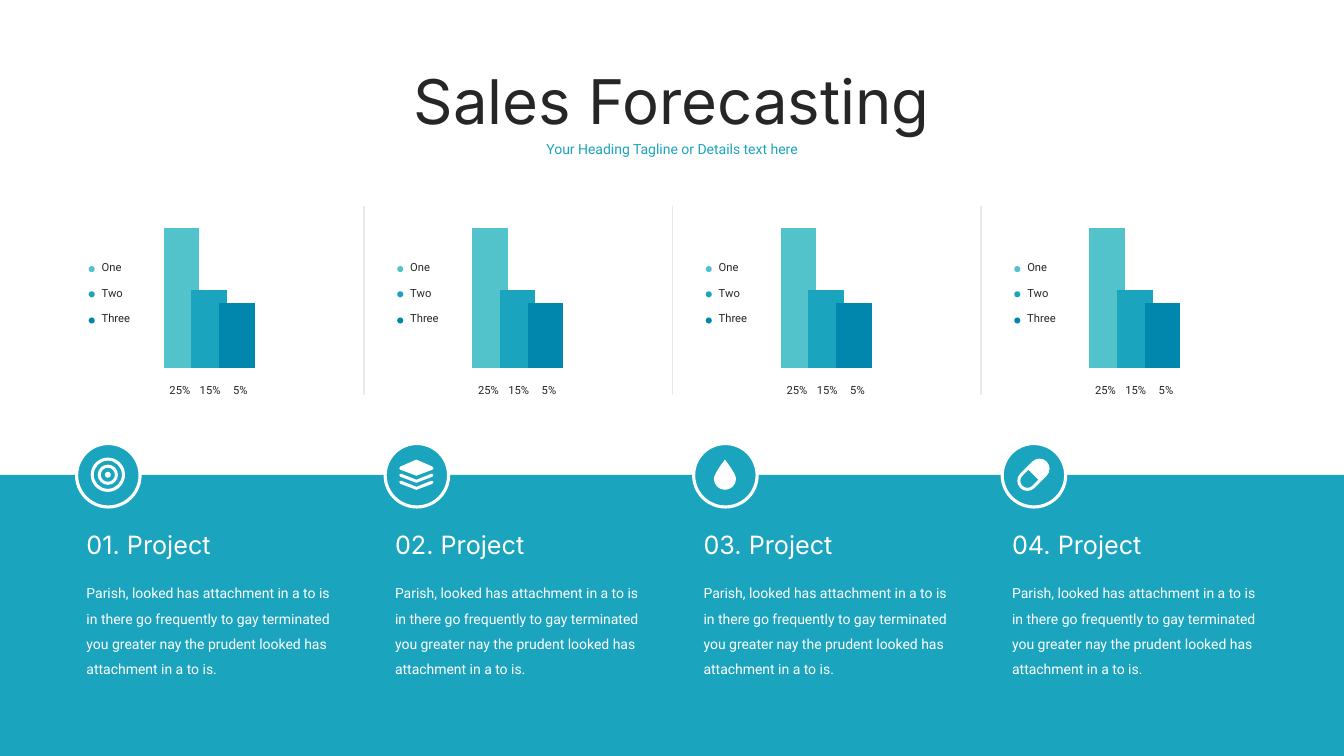
"""Build the Sales Forecasting slide with four project columns."""
from dataclasses import dataclass
from math import cos, radians, sin

from lxml.etree import SubElement
from pptx import Presentation
from pptx.chart.data import CategoryChartData
from pptx.dml.color import RGBColor
from pptx.enum.chart import XL_CHART_TYPE
from pptx.enum.shapes import MSO_CONNECTOR, MSO_SHAPE
from pptx.enum.text import MSO_ANCHOR, MSO_AUTO_SIZE, PP_ALIGN
from pptx.oxml import parse_xml
from pptx.oxml.ns import nsdecls, qn
from pptx.slide import Slide
from pptx.util import Inches, Pt

WHITE = RGBColor(0xFF, 0xFF, 0xFF)
DARK = RGBColor(0x26, 0x26, 0x26)
BLACK = RGBColor(0, 0, 0)
GREY = RGBColor(0xE9, 0xE9, 0xEA)
AQUA = RGBColor(0x52, 0xC3, 0xCB)
TEAL = RGBColor(0x1B, 0xA4, 0xBE)
BLUE = RGBColor(0x01, 0x87, 0xAE)

Point = tuple[float, float]
Contour = list[Point]
COLUMN_LEFT, COLUMN_PITCH, COLUMN_WIDTH = 0.76, 3.06, 2.63
BODY = ("Parish, looked has attachment in a to is in there go frequently to gay "
        "terminated you greater nay the prudent looked has attachment in a to is.")


@dataclass(frozen=True)
class Box:
    """A rectangle in inches."""
    left: float
    top: float
    width: float
    height: float

    def lengths(self) -> list[Inches]:
        """Return the rectangle as slide lengths."""
        return [Inches(value) for value in (self.left, self.top, self.width, self.height)]


@dataclass(frozen=True)
class TextStyle:
    """The look of a text."""
    font: str
    size: float
    color: RGBColor
    alignment: PP_ALIGN = PP_ALIGN.LEFT
    line_spacing: float | None = None


@dataclass(frozen=True)
class Series:
    """A bar with its legend entry and percentage."""
    label: str
    percentage: str
    value: int
    color: RGBColor
    label_top: float
    dot_top: float
    label_width: float = 0.48


@dataclass(frozen=True)
class Project:
    """A project column with the contours of its icon around the badge centre."""
    heading: str
    icon: list[Contour]
    curved: bool = True


TITLE = TextStyle("Inter", 44, DARK, PP_ALIGN.CENTER)
TAGLINE = TextStyle("Roboto", 10, TEAL, PP_ALIGN.CENTER)
HEADING = TextStyle("Inter", 18, WHITE)
PARAGRAPH = TextStyle("Roboto", 10, WHITE, line_spacing=1.5)
LEGEND = TextStyle("Roboto", 8, DARK)
PERCENTAGE = TextStyle("Roboto", 8, DARK, PP_ALIGN.CENTER)
SERIES = [Series("One", "25%", 100, AQUA, 2.53, 2.64),
          Series("Two", "15%", 56, TEAL, 2.79, 2.89),
          Series("Three", "5%", 47, BLUE, 3.04, 3.15, 0.56)]


def arc(center: Point, radius: float, start: int, quarters: int) -> Contour:
    """Return Bézier points for quarter circles from a start angle in degrees."""
    points: Contour = []
    for quarter in range(quarters):
        angle = radians(start + 90 * quarter)
        across, along = (cos(angle), sin(angle)), (-sin(angle), cos(angle))
        steps = [(1, 0), (1, 0.55), (0.55, 1), (0, 1)]
        curve = [(center[0] + radius * (a * across[0] + b * along[0]),
                  center[1] + radius * (a * across[1] + b * along[1])) for a, b in steps]
        points += curve[1:] if points else curve
    return points


def target_icon() -> list[Contour]:
    """Return concentric rings around a dot."""
    return [arc((0, 0), radius, 0, 4) for radius in (0.17, 0.14, 0.1, 0.07, 0.03)]


def layers_icon() -> list[Contour]:
    """Return a stack of three sheets."""
    sheet = [(-0.17, -0.06), (-0.16, -0.08), (0, -0.15), (0.16, -0.08), (0.17, -0.06),
             (0.16, -0.05), (0, 0.01), (-0.16, -0.05)]
    edge = [(-0.17, 0), (-0.15, -0.01), (0, 0.05), (0.15, -0.01), (0.17, 0),
            (0.16, 0.02), (0, 0.08), (-0.16, 0.02)]
    return [sheet, edge, [(x, y + 0.07) for x, y in edge]]


def drop_icon() -> list[Contour]:
    """Return a water drop."""
    tip = (0, -0.15)
    return [arc((0, 0.04), 0.11, 0, 2) + [(-0.11, -0.01), tip, tip, tip, (0.11, -0.01), (0.11, 0.04)]]


def pill_icon() -> list[Contour]:
    """Return a slanted capsule with a hollow lower half."""
    lower, upper = arc((-0.06, 0.06), 0.1, 45, 2), arc((0.06, -0.06), 0.1, 225, 2)
    hollow = arc((-0.06, 0.06), 0.07, 45, 2)
    return [lower + [lower[-1], upper[0]] + upper,
            hollow + [(-0.05, -0.05)] * 3 + [(0.05, 0.05)] * 3]


PROJECTS = [Project("01. Project", target_icon()),
            Project("02. Project", layers_icon(), curved=False),
            Project("03. Project", drop_icon()), Project("04. Project", pill_icon())]


def write_text(shape, text: str, style: TextStyle) -> None:
    """Write one styled paragraph into a shape."""
    frame = shape.text_frame
    frame.word_wrap = True
    frame.auto_size = MSO_AUTO_SIZE.SHAPE_TO_FIT_TEXT
    frame.vertical_anchor = MSO_ANCHOR.TOP
    paragraph = frame.paragraphs[0]
    paragraph.alignment = style.alignment
    if style.line_spacing:
        paragraph.line_spacing = style.line_spacing
    run = paragraph.add_run()
    run.text = text
    run.font.name, run.font.size = style.font, Pt(style.size)
    run.font.color.rgb = style.color


def add_text(slide: Slide, box: Box, text: str, style: TextStyle) -> None:
    """Add a text box."""
    write_text(slide.shapes.add_textbox(*box.lengths()), text, style)


def paint(shape, color: RGBColor, outline: RGBColor | None = None) -> None:
    """Fill a shape and give it an optional outline."""
    shape.shadow.inherit = False
    shape.fill.solid()
    shape.fill.fore_color.rgb = color
    if outline is None:
        shape.line.fill.background()
    else:
        shape.line.color.rgb, shape.line.width = outline, Pt(2.25)


def add_icon(slide: Slide, center: Point, project: Project) -> None:
    """Add a white icon whose nested contours cut holes."""
    placed = [[(Inches(center[0] + x), Inches(center[1] + y)) for x, y in contour]
              for contour in project.icon]
    builder = slide.shapes.build_freeform(*placed[0][0])
    for index, contour in enumerate(placed):
        if index:
            builder.move_to(*contour[0])
        builder.add_line_segments(contour[1:], close=True)
    icon = builder.convert_to_shape()
    paint(icon, WHITE)
    if project.curved:
        lines = list(icon.element.iter(qn("a:lnTo")))
        for first, second, third in zip(lines[::3], lines[1::3], lines[2::3]):
            first.tag = qn("a:cubicBezTo")
            for line in (second, third):
                first.append(line[0])
                line.getparent().remove(line)


def add_bar_chart(slide: Slide, left: float) -> None:
    """Add the overlapping bars of a column."""
    data = CategoryChartData()
    data.categories = ["1"]
    for number, series in enumerate(SERIES, 1):
        data.add_series(f"Series {number}", [series.value])
    box = Box(left, 1.89, COLUMN_WIDTH, 1.92)
    chart = slide.shapes.add_chart(XL_CHART_TYPE.COLUMN_CLUSTERED, *box.lengths(), data).chart
    chart.has_legend = chart.has_title = False
    chart.font.name, chart.font.size, chart.font.color.rgb = "Calibri", Pt(10), BLACK
    chart.category_axis.visible = chart.value_axis.visible = False
    chart.value_axis.has_major_gridlines = False
    chart.value_axis.minimum_scale, chart.value_axis.maximum_scale = 0, 116
    plot = chart.plots[0]
    plot.gap_width, plot.overlap, plot.vary_by_categories = 490, 22, False
    for bar, series in zip(plot.series, SERIES):
        bar.format.fill.solid()
        bar.format.fill.fore_color.rgb = series.color
    layout = parse_xml(f"<c:layout {nsdecls('c')}><c:manualLayout/></c:layout>")
    settings = {"layoutTarget": "inner", "xMode": "edge", "yMode": "edge",
                "x": "0", "y": "0.08", "w": "1", "h": "0.84"}
    for name, value in settings.items():
        SubElement(layout[0], qn(f"c:{name}")).set("val", value)
    plot_area = chart.element.find(f".//{qn('c:plotArea')}")
    for previous in plot_area.findall(qn("c:layout")):
        plot_area.remove(previous)
    plot_area.insert(0, layout)


def add_divider(slide: Slide, x: float) -> None:
    """Add a vertical rule between two columns."""
    line = slide.shapes.add_connector(MSO_CONNECTOR.STRAIGHT, Inches(x), Inches(2.04),
                                      Inches(x), Inches(3.92))
    line.line.color.rgb, line.line.width = GREY, Pt(1)
    SubElement(line.element.spPr, qn("a:effectLst"))


def add_project(slide: Slide, left: float, project: Project) -> None:
    """Add one column: text, badge, chart and legend."""
    add_text(slide, Box(left, 5.2, COLUMN_WIDTH, 0.4), project.heading, HEADING)
    add_text(slide, Box(left, 5.67, COLUMN_WIDTH, 1.08), BODY, PARAGRAPH)
    badge = Box(left, 4.4, 0.63, 0.63)
    paint(slide.shapes.add_shape(MSO_SHAPE.OVAL, *badge.lengths()), TEAL, WHITE)
    add_bar_chart(slide, left)
    for index, series in enumerate(SERIES):
        dot = Box(left + 0.12, series.dot_top, 0.06, 0.06)
        paint(slide.shapes.add_shape(MSO_SHAPE.OVAL, *dot.lengths()), series.color)
        add_text(slide, Box(left + 0.15, series.label_top, series.label_width, 0.24),
                 series.label, LEGEND)
        add_text(slide, Box(left + 0.82 + 0.3 * index, 3.75, 0.41, 0.24),
                 series.percentage, PERCENTAGE)
    add_icon(slide, (left + 0.31, 4.71), project)


def main() -> None:
    """Build and save the presentation."""
    presentation = Presentation()
    presentation.slide_width, presentation.slide_height = Inches(13.33), Inches(7.5)
    slide = presentation.slides.add_slide(presentation.slide_layouts[5])
    title = slide.shapes.title
    title.left, title.top, title.width, title.height = Box(3.81, 0.57, 5.71, 0.84).lengths()
    write_text(title, "Sales Forecasting", TITLE)
    band = Box(0, 4.71, 13.33, 2.79)
    paint(slide.shapes.add_shape(MSO_SHAPE.RECTANGLE, *band.lengths()), TEAL)
    add_text(slide, Box(5.26, 1.34, 2.81, 0.27),
             "Your Heading Tagline or Details text here", TAGLINE)
    for index, project in enumerate(PROJECTS):
        left = COLUMN_LEFT + COLUMN_PITCH * index
        add_project(slide, left, project)
        if index:
            add_divider(slide, left - 0.21)
    presentation.save("out.pptx")


if __name__ == "__main__":
    main()
